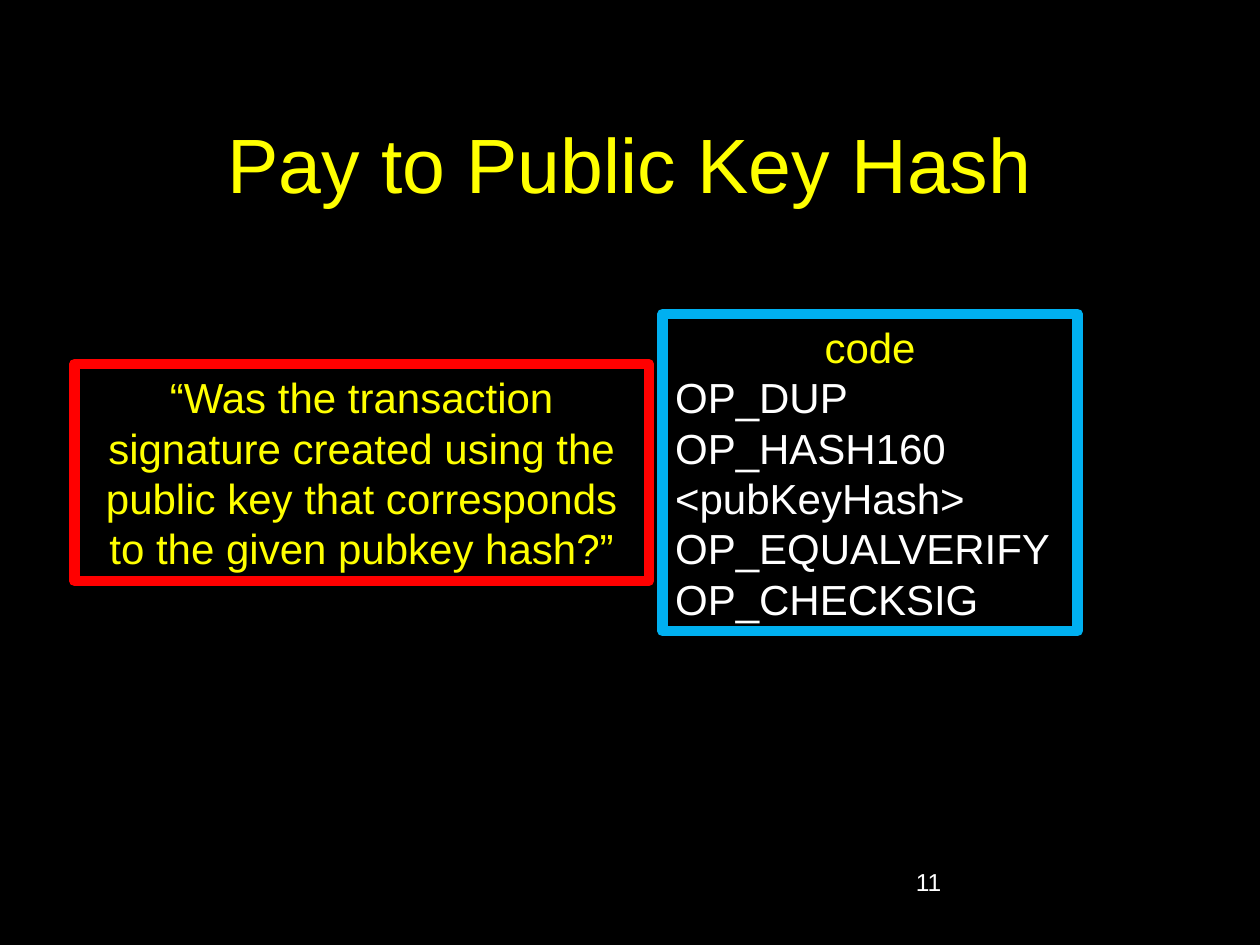
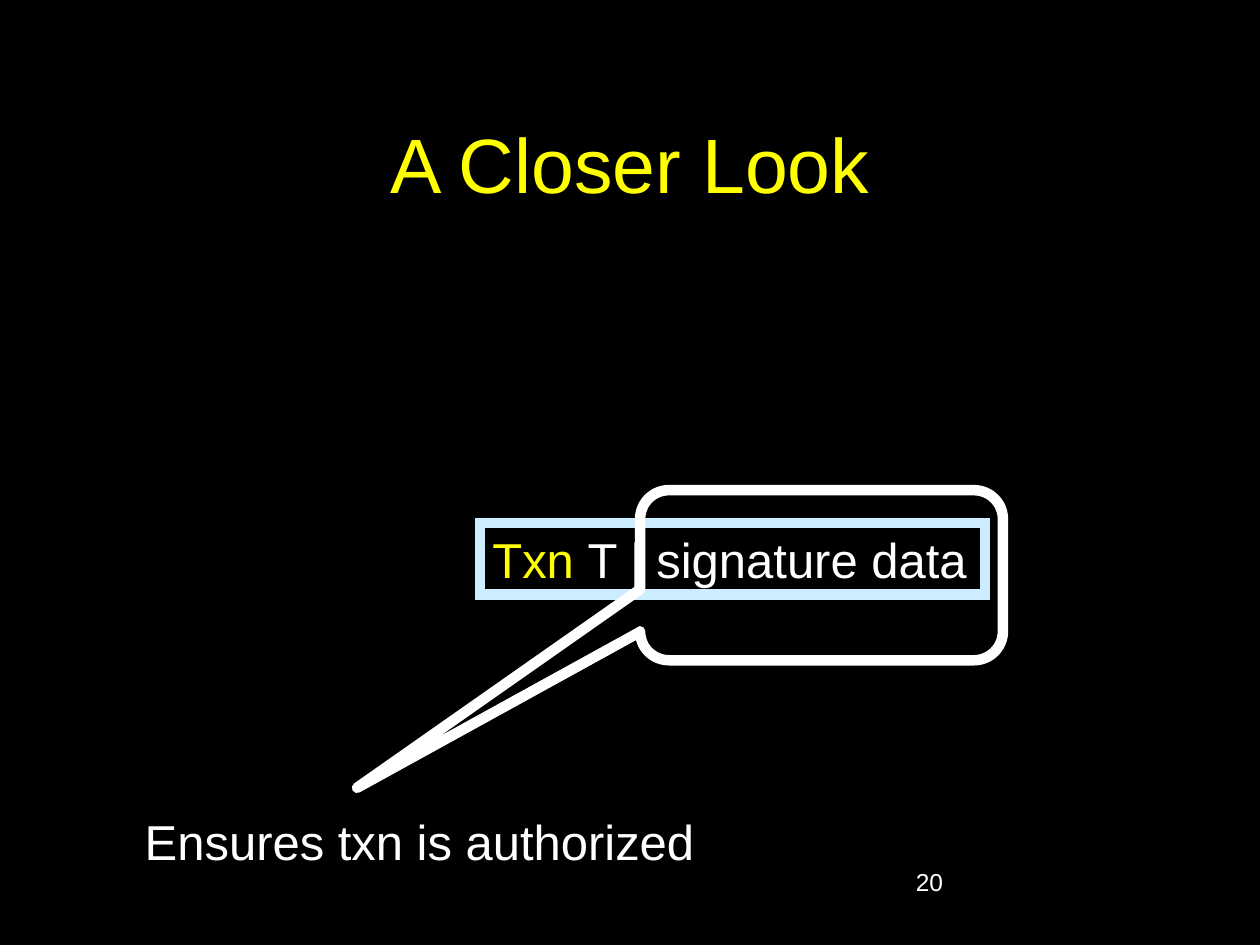
import pptx
import pptx.dml.color
import pptx.enum.shapes
import pptx.enum.text
import pptx.oxml
import pptx.oxml.ns
import pptx.util

Inches = pptx.util.Inches
Pt = pptx.util.Pt
RGBColor = pptx.dml.color.RGBColor
Shape = pptx.enum.shapes.MSO_SHAPE
Anchor = pptx.enum.text.MSO_ANCHOR
Align = pptx.enum.text.PP_ALIGN
AutoSize = pptx.enum.text.MSO_AUTO_SIZE

BLACK = RGBColor(0x00, 0x00, 0x00)
WHITE = RGBColor(0xFF, 0xFF, 0xFF)
YELLOW = RGBColor(0xFF, 0xFF, 0x00)
RED = RGBColor(0xFF, 0x00, 0x00)
BLUE = RGBColor(0x00, 0xB0, 0xF0)
PALE_BLUE = RGBColor(0xCC, 0xEC, 0xFF)
FONT = "Arial"
BORDER = Pt(6)

# Content: a paragraph is (alignment, [(text, colour), ...])
OPCODES = ["OP_DUP", "OP_HASH160", "<pubKeyHash>", "OP_EQUALVERIFY", "OP_CHECKSIG"]
CODE = [(Align.CENTER, [("code", YELLOW)])]
CODE += [(Align.LEFT, [(opcode, WHITE)]) for opcode in OPCODES]
QUESTION = [(Align.CENTER, [(
    "“Was the transaction signature created using the public key "
    "that corresponds to the given pubkey hash?”", YELLOW)])]
TRANSACTION = [(Align.LEFT, [("Txn ", YELLOW), ("T | signature data", WHITE)])]
PURPOSE = [(Align.LEFT, [("Ensures txn is authorized", WHITE)])]

# Places: left, top, width, height in inches
TITLE_PLACE = (0.75, 0.67, 8.5, 1.25)
NUMBER_PLACE = (7.17, 6.83, 2.08, 0.5)
CODE_PLACE = (5.26, 2.49, 3.29, 2.52)
QUESTION_PLACE = (0.59, 2.89, 4.56, 1.72)
TRANSACTION_PLACE = (3.81, 4.15, 4.01, 0.57)
CALLOUT_PLACE = (5.08, 3.89, 2.88, 1.35)
PURPOSE_PLACE = (1.05, 6.39, 4.62, 0.57)
CALLOUT_SHAPE = (-1.28, 1.25, 0.17)  # tip x, tip y, corner radius


def to_lengths(place):
    return [Inches(value) for value in place]


def write(frame, paragraphs, size):
    for index, (alignment, spans) in enumerate(paragraphs):
        para = frame.add_paragraph() if index else frame.paragraphs[0]
        para.alignment = alignment
        for text, colour in spans:
            span = para.add_run()
            span.text = text
            span.font.name = FONT
            span.font.size = Pt(size)
            span.font.color.rgb = colour


def set_border(shape, colour, join):
    shape.line.color.rgb = colour
    shape.line.width = BORDER
    limit = ' lim="800000"' if join == "miter" else ""
    shape.line._get_or_add_ln().append(pptx.oxml.parse_xml(
        f'<a:{join} {pptx.oxml.ns.nsdecls("a")}{limit}/>'))


def add_box(slide, place, paragraphs, size, border=None, join="round",
            anchor=Anchor.TOP, wrap=False):
    box = slide.shapes.add_shape(Shape.RECTANGLE, *to_lengths(place))
    box.shadow.inherit = False
    box.fill.solid()
    box.fill.fore_color.rgb = BLACK
    if border is None:
        box.line.fill.background()
    else:
        set_border(box, border, join)
    frame = box.text_frame
    frame.word_wrap = wrap
    frame.auto_size = AutoSize.SHAPE_TO_FIT_TEXT
    frame.vertical_anchor = anchor
    write(frame, paragraphs, size)


def add_callout(slide):
    callout = slide.shapes.add_shape(
        Shape.ROUNDED_RECTANGULAR_CALLOUT, *to_lengths(CALLOUT_PLACE))
    callout.shadow.inherit = False
    callout.fill.background()
    set_border(callout, WHITE, "round")
    for index, value in enumerate(CALLOUT_SHAPE):
        callout.adjustments[index] = value


def add_page(deck, title_text, number):
    slide = deck.slides.add_slide(deck.slide_layouts[5])
    title = slide.shapes.title
    title.left, title.top, title.width, title.height = to_lengths(TITLE_PLACE)
    title.text_frame.auto_size = AutoSize.NONE
    title.text_frame.vertical_anchor = Anchor.MIDDLE
    write(title.text_frame, [(Align.CENTER, [(title_text, YELLOW)])], 44)
    number_box = slide.shapes.add_textbox(*to_lengths(NUMBER_PLACE))
    number_box.text_frame.word_wrap = True
    write(number_box.text_frame, [(Align.LEFT, [(number, WHITE)])], 14)
    return slide


def main():
    deck = pptx.Presentation()
    deck.slide_width, deck.slide_height = Inches(10), Inches(7.5)
    background = deck.slide_master.background.fill
    background.solid()
    background.fore_color.rgb = BLACK

    # Script and the question it answers
    slide = add_page(deck, "Pay to Public Key Hash", "11")
    add_box(slide, CODE_PLACE, CODE, 24, BLUE, anchor=Anchor.MIDDLE)
    add_box(slide, QUESTION_PLACE, QUESTION, 24, RED,
            anchor=Anchor.MIDDLE, wrap=True)

    # Transaction with its signature called out
    slide = add_page(deck, "A Closer Look", "20")
    add_box(slide, TRANSACTION_PLACE, TRANSACTION, 28, PALE_BLUE, join="miter")
    add_callout(slide)
    add_box(slide, PURPOSE_PLACE, PURPOSE, 28)

    deck.save("out.pptx")


if __name__ == "__main__":
    main()
